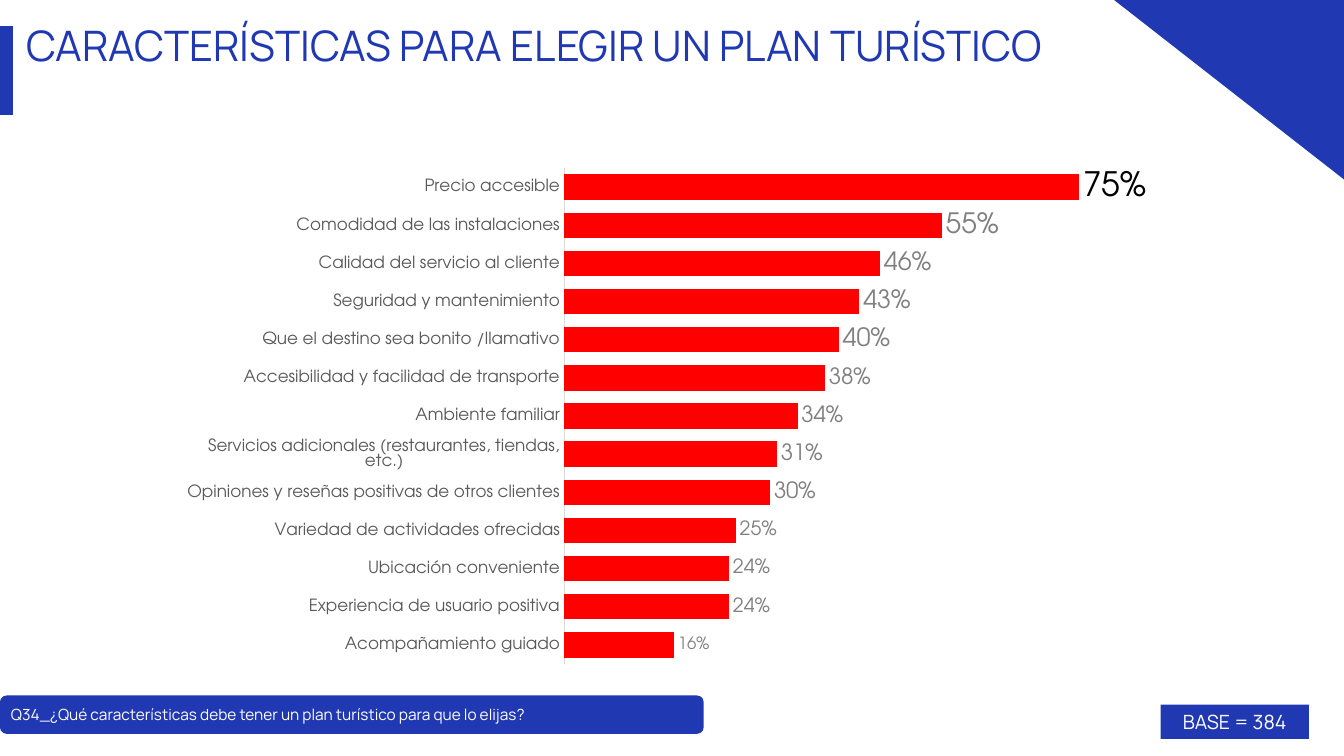
"""Build the slide on the features people look for in a tourist plan."""
from lxml import etree
from pptx import Presentation
from pptx.chart.data import CategoryChartData
from pptx.dml.color import RGBColor
from pptx.enum.chart import XL_CHART_TYPE as ChartType
from pptx.enum.chart import XL_LABEL_POSITION as LabelPosition
from pptx.enum.chart import XL_TICK_LABEL_POSITION as TickLabels
from pptx.enum.chart import XL_TICK_MARK as TickMark
from pptx.enum.shapes import MSO_SHAPE as Shape
from pptx.enum.text import MSO_ANCHOR as Anchor
from pptx.enum.text import MSO_AUTO_SIZE as AutoSize
from pptx.enum.text import PP_ALIGN as Align
from pptx.oxml.ns import qn
from pptx.util import Inches, Pt

BLUE = RGBColor(0x20, 0x38, 0xB2)
RED = RGBColor(0xFF, 0x00, 0x00)
BLACK = RGBColor(0x00, 0x00, 0x00)
WHITE = RGBColor(0xFF, 0xFF, 0xFF)
DARK_GRAY = RGBColor(0x59, 0x59, 0x59)
GRAY = RGBColor(0x80, 0x80, 0x80)
LIGHT_GRAY = RGBColor(0xD9, 0xD9, 0xD9)
TEXT_FONT = "Manrope"
CHART_FONT = "TeX Gyre Adventor"
WIDTH, HEIGHT = Inches(13.33), Inches(7.5)

FEATURES = [
    ("Acompañamiento guiado", 0.16, 12),
    ("Experiencia de usuario positiva", 0.24, 14),
    ("Ubicación conveniente", 0.24, 14),
    ("Variedad de actividades ofrecidas", 0.25, 14),
    ("Opiniones y reseñas positivas de otros clientes", 0.30, 16),
    ("Servicios adicionales (restaurantes, tiendas, etc.)", 0.31, 16),
    ("Ambiente familiar", 0.34, 16),
    ("Accesibilidad y facilidad de transporte", 0.38, 16),
    ("Que el destino sea bonito /llamativo", 0.40, 18),
    ("Seguridad y mantenimiento", 0.43, 18),
    ("Calidad del servicio al cliente", 0.46, 18),
    ("Comodidad de las instalaciones", 0.55, 20),
    ("Precio accesible", 0.75, 24),
]


def across(percent):
    return int(WIDTH * percent / 100)


def down(percent):
    return int(HEIGHT * percent / 100)


def area(left, top, width, height):
    return across(left), down(top), across(width), down(height)


def set_font(font, name, size, color):
    font.name = name
    font.size = Pt(size)
    font.color.rgb = color


def paint(shape):
    shape.shadow.inherit = False
    shape.fill.solid()
    shape.fill.fore_color.rgb = BLUE
    shape.line.fill.background()


def write(box, text, size, color, align=Align.LEFT, insets=(0.1, 0.05, 0.1, 0.05),
          anchor=Anchor.TOP):
    frame = box.text_frame
    frame.word_wrap = True
    frame.auto_size = AutoSize.NONE
    frame.vertical_anchor = anchor
    (frame.margin_left, frame.margin_top,
     frame.margin_right, frame.margin_bottom) = map(Inches, insets)
    para = frame.paragraphs[0]
    para.alignment = align
    span = para.add_run()
    span.text = text
    set_font(span.font, TEXT_FONT, size, color)


def add_title(page, place, text):
    title = page.shapes.title
    title.left, title.top, title.width, title.height = place
    write(title, text, 30, BLUE, insets=(0.01, 0.01, 0, 0))


def add_block(page, kind, place):
    block = page.shapes.add_shape(kind, *place)
    paint(block)
    return block


def add_polygon(page, corners):
    points = [(across(x), down(y)) for x, y in corners]
    builder = page.shapes.build_freeform(*points[0])
    builder.add_line_segments(points[1:], close=True)
    paint(builder.convert_to_shape())


def fix_plot_area(chart, **shares):
    plot_area = chart._chartSpace.chart.plotArea
    for old in plot_area.findall(qn("c:layout")):
        plot_area.remove(old)
    layout = etree.Element(qn("c:layout"))
    manual = etree.SubElement(layout, qn("c:manualLayout"))
    settings = {"layoutTarget": "inner", "xMode": "edge", "yMode": "edge", **shares}
    for tag, value in settings.items():
        etree.SubElement(manual, qn(f"c:{tag}")).set("val", str(value))
    plot_area.insert(0, layout)


def style_axes(chart):
    for axis in (chart.category_axis, chart.value_axis):
        axis.major_tick_mark = axis.minor_tick_mark = TickMark.NONE
        axis.has_major_gridlines = False
        set_font(axis.tick_labels.font, CHART_FONT, 12, DARK_GRAY)
    line = chart.category_axis.format.line
    line.color.rgb = LIGHT_GRAY
    line.width = Pt(0.75)
    values = chart.value_axis
    values.minimum_scale, values.maximum_scale = 0, 0.8
    values.tick_label_position = TickLabels.NONE
    values.format.line.fill.background()


def style_labels(plot):
    plot.has_data_labels = True
    labels = plot.data_labels
    labels.show_value = True
    labels.number_format = "0%"
    labels.number_format_is_linked = False
    labels.position = LabelPosition.OUTSIDE_END
    set_font(labels.font, CHART_FONT, 18, GRAY)
    top = len(FEATURES) - 1
    for index, (_, _, size) in enumerate(FEATURES):
        label = plot.series[0].points[index].data_label
        set_font(label.font, CHART_FONT, size, BLACK if index == top else GRAY)
        label.position = LabelPosition.OUTSIDE_END


def add_bars(page, place):
    data = CategoryChartData(number_format="0%")
    data.categories = [name for name, _, _ in FEATURES]
    data.add_series("Series 1", [share for _, share, _ in FEATURES])
    chart = page.shapes.add_chart(ChartType.BAR_CLUSTERED, *place, data).chart
    chart.has_legend = chart.has_title = False
    set_font(chart.font, "Arial", 10, BLACK)
    plot = chart.plots[0]
    plot.gap_width = 50
    plot.vary_by_categories = False
    fill = plot.series[0].format.fill
    fill.solid()
    fill.fore_color.rgb = RED
    style_axes(chart)
    style_labels(plot)
    fix_plot_area(chart, x=0.39, y=0.04, w=0.56, h=0.95)


def main():
    deck = Presentation()
    deck.slide_width, deck.slide_height = WIDTH, HEIGHT
    page = deck.slides.add_slide(deck.slide_layouts[5])
    add_bars(page, area(13.5, 19.47, 73, 69.07))
    question_bar = add_block(page, Shape.ROUNDED_RECTANGLE, area(0, 92, 52.36, 5.07))
    question_bar.adjustments[0] = 0.17
    add_polygon(page, [(100, 0), (82.9, 0), (100, 23.73)])
    add_polygon(page, [(0, 15.2), (0, 3.47), (0.98, 3.47), (0.98, 15.2)])
    add_title(page, area(1.88, 2.4, 79.82, 13.6),
              "CARACTERÍSTICAS PARA ELEGIR UN PLAN TURÍSTICO")
    question = page.shapes.add_textbox(*area(0.08, 92.67, 50.04, 3.87))
    write(question, "Q34_¿Qué características debe tener un plan turístico para que lo elijas?",
          11, WHITE)
    base = add_block(page, Shape.RECTANGLE, area(86.35, 93.2, 11.03, 4.53))
    write(base, "BASE = 384", 14, WHITE, Align.CENTER, anchor=Anchor.MIDDLE)
    deck.save("out.pptx")


if __name__ == "__main__":
    main()
